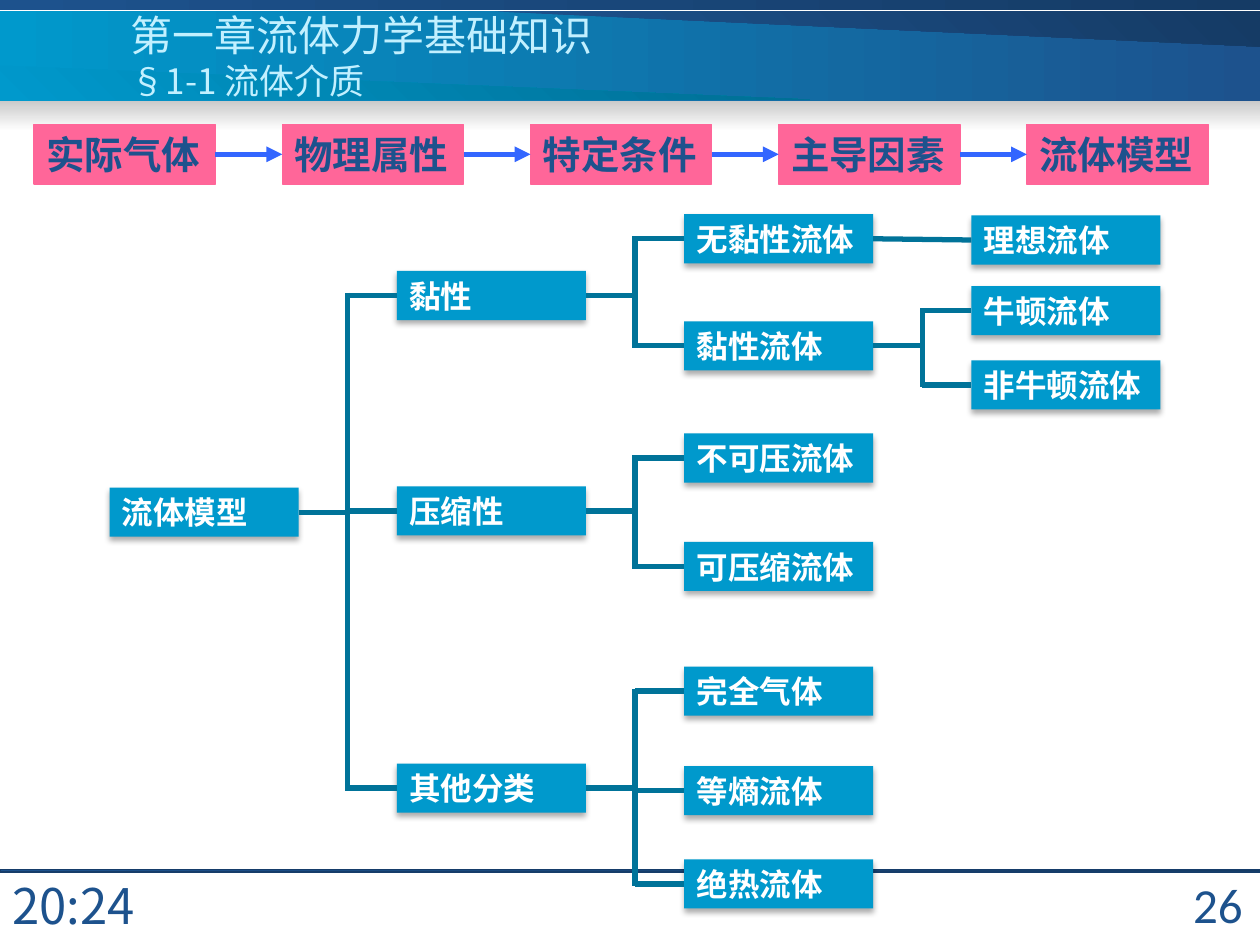
from dataclasses import dataclass
from typing import Optional

from lxml import etree
from pptx import Presentation
from pptx.dml.color import RGBColor
from pptx.enum.shapes import MSO_CONNECTOR, MSO_SHAPE
from pptx.enum.text import MSO_ANCHOR, PP_ALIGN
from pptx.oxml.ns import qn
from pptx.util import Inches, Pt

RECTANGLE = MSO_SHAPE.RECTANGLE
STRAIGHT = MSO_CONNECTOR.STRAIGHT
TOP, MIDDLE = MSO_ANCHOR.TOP, MSO_ANCHOR.MIDDLE
LEFT, RIGHT, JUSTIFY = PP_ALIGN.LEFT, PP_ALIGN.RIGHT, PP_ALIGN.JUSTIFY
LEFT_SIDE, RIGHT_SIDE = 1, 3


@dataclass(frozen=True)
class Theme:
    navy: str = "1D528D"
    dark_navy: str = "153B65"
    rule_line: str = "163D6A"
    cyan: str = "0099CC"
    dark_cyan: str = "006D92"
    tree_line: str = "007399"
    title: str = "C2F0FF"
    pink: str = "FF6699"
    arrow: str = "3366FF"
    grey: str = "CACACA"
    white: str = "FFFFFF"
    chinese_font: str = "Noto Sans CJK SC"
    title_font: str = "Noto Sans CJK JP"
    step_font: str = "Arial"
    number_font: str = "Calibri"
    title_size: int = 24
    subtitle_size: int = 20
    step_size: int = 22
    node_size: int = 18
    footer_size: int = 28
    line_width: int = 3


THEME = Theme()


@dataclass(frozen=True)
class TextStyle:
    font: str
    size: int
    color: str
    bold: bool = False


@dataclass(frozen=True)
class Band:
    left: float
    top: float
    width: float
    height: float
    start: str
    end: str
    angle: int = 0
    line: Optional[str] = None


@dataclass(frozen=True)
class Wedge:
    points: tuple
    start: str
    end: str


@dataclass(frozen=True)
class Node:
    text: str
    top: float
    children: tuple = ()


NODE_WIDTH, NODE_HEIGHT = 1.5, 0.39
TREE_LEFT, TREE_STEP = 0.87, 2.28
BRANCH_LENGTH = 0.39
TRUNK_OVERLAP = 0.02  # closes the corners of the thick lines
STEP_LEFT, STEP_TOP, STEP_PITCH = 0.27, 0.99, 1.97
STEP_WIDTH, STEP_HEIGHT = 1.44, 0.47

NODE_STYLE = TextStyle(THEME.chinese_font, THEME.node_size, THEME.white, True)
STEP_STYLE = TextStyle(THEME.step_font, THEME.step_size, THEME.navy, True)
TITLE_STYLE = TextStyle(THEME.title_font, THEME.title_size, THEME.title)
SUBTITLE_STYLE = TextStyle(THEME.title_font, THEME.subtitle_size, THEME.title)
TIME_STYLE = TextStyle(THEME.chinese_font, THEME.footer_size, THEME.navy)
NUMBER_STYLE = TextStyle(THEME.number_font, THEME.footer_size, THEME.navy)

HEADER = Band(0, 0.09, 10, 0.71, THEME.cyan, THEME.navy)
WEDGES = (
    Wedge(((3.93, 0.09), (10, 0.37), (10, 0.09)), THEME.navy, THEME.dark_navy),
    Wedge(((0, 0.52), (6.43, 0.79), (0, 0.79)), THEME.cyan, THEME.dark_cyan),
)
BANDS = (
    Band(0, 0.8, 10, 0.24, THEME.grey, THEME.white, 270),
    Band(0, 0, 10, 0.08, THEME.navy, THEME.dark_navy),
    Band(0, 6.9, 10, 0.02, THEME.navy, THEME.dark_navy, line=THEME.rule_line),
)
STEPS = ("实际气体", "物理属性", "特定条件", "主导因素", "流体模型")
TREE = Node("流体模型", 3.87, (
    Node("黏性", 2.15, (
        Node("无黏性流体", 1.7, (Node("理想流体", 1.71),)),
        Node("黏性流体", 2.55, (Node("牛顿流体", 2.27), Node("非牛顿流体", 2.86))),
    )),
    Node("压缩性", 3.86, (Node("不可压流体", 3.44), Node("可压缩流体", 4.3))),
    Node("其他分类", 6.06, (
        Node("完全气体", 5.29), Node("等熵流体", 6.08), Node("绝热流体", 6.82),
    )),
))


def rgb(color: str) -> RGBColor:
    return RGBColor.from_string(color)


def fill_gradient(shape, start: str, end: str, angle: int) -> None:
    shape.fill.gradient()
    shape.fill.gradient_angle = angle
    for stop, color in zip(shape.fill.gradient_stops, (start, end)):
        stop.color.rgb = rgb(color)


def set_line(shape, color: Optional[str], width: float = 0.75) -> None:
    if color is None:
        shape.line.fill.background()
    else:
        shape.line.color.rgb = rgb(color)
        shape.line.width = Pt(width)


def write_text(shape, text: str, styles: tuple, anchor, alignment, wrap=True) -> None:
    """Set one paragraph, with one style for each of its lines."""
    frame = shape.text_frame
    frame.text = text
    frame.word_wrap = wrap
    frame.vertical_anchor = anchor
    paragraph = frame.paragraphs[0]
    paragraph.alignment = alignment
    for run, style in zip(paragraph.runs, styles):
        run.font.name = style.font
        run.font.size = Pt(style.size)
        run.font.bold = style.bold
        run.font.color.rgb = rgb(style.color)
        east_asian = etree.SubElement(run.font._element, qn("a:ea"))
        east_asian.set("typeface", style.font)


def add_rectangle(slide, left: float, top: float, width: float, height: float):
    shape = slide.shapes.add_shape(
        RECTANGLE, Inches(left), Inches(top), Inches(width), Inches(height))
    shape.shadow.inherit = False
    return shape


def add_band(slide, band: Band) -> None:
    shape = add_rectangle(slide, band.left, band.top, band.width, band.height)
    fill_gradient(shape, band.start, band.end, band.angle)
    set_line(shape, band.line)


def add_wedge(slide, wedge: Wedge) -> None:
    points = [(Inches(x), Inches(y)) for x, y in wedge.points]
    builder = slide.shapes.build_freeform(*points[0])
    builder.add_line_segments(points[1:])
    shape = builder.convert_to_shape()
    shape.shadow.inherit = False
    fill_gradient(shape, wedge.start, wedge.end, 45)
    set_line(shape, None)


def add_text_box(slide, box: tuple, text: str, styles: tuple, anchor, alignment) -> None:
    shape = slide.shapes.add_textbox(*map(Inches, box))
    write_text(shape, text, styles, anchor, alignment)


def add_line(slide, start: tuple, end: tuple, color: str, source=None, target=None):
    """Draw a line, joined to the right of source and the left of target."""
    line = slide.shapes.add_connector(STRAIGHT, *map(Inches, start + end))
    if source is not None:
        line.begin_connect(source, RIGHT_SIDE)
    if target is not None:
        line.end_connect(target, LEFT_SIDE)
    set_line(line, color, THEME.line_width)
    etree.SubElement(line._element.spPr, qn("a:effectLst"))
    return line


def add_soft_shadow(shape) -> None:
    effects = shape._element.spPr.find(qn("a:effectLst"))
    shadow = etree.SubElement(
        effects, qn("a:outerShdw"), blurRad=str(Pt(3.5)), dist=str(Pt(2.2)),
        dir="5400000", rotWithShape="0")
    color = etree.SubElement(shadow, qn("a:srgbClr"), val="000000")
    etree.SubElement(color, qn("a:alpha"), val="32000")


def add_tree(slide, node: Node, depth: int = 0):
    """Draw a node with all its branches and return its box."""
    left = TREE_LEFT + depth * TREE_STEP
    box = add_rectangle(slide, left, node.top, NODE_WIDTH, NODE_HEIGHT)
    box.fill.solid()
    box.fill.fore_color.rgb = rgb(THEME.cyan)
    set_line(box, None)
    add_soft_shadow(box)
    write_text(box, node.text, (NODE_STYLE,), MIDDLE, JUSTIFY)

    children = [add_tree(slide, child, depth + 1) for child in node.children]
    middle = node.top + NODE_HEIGHT / 2
    right, child_left = left + NODE_WIDTH, left + TREE_STEP
    trunk = child_left - BRANCH_LENGTH
    heights = [child.top + NODE_HEIGHT / 2 for child in node.children]
    if len(children) == 1:
        add_line(slide, (right, middle), (child_left, heights[0]),
                 THEME.tree_line, box, children[0])
    elif children:
        add_line(slide, (right, middle), (trunk, middle), THEME.tree_line, source=box)
        add_line(slide, (trunk, min(heights) - TRUNK_OVERLAP),
                 (trunk, max(heights) + TRUNK_OVERLAP), THEME.tree_line)
        for child, height in zip(children, heights):
            add_line(slide, (trunk, height), (child_left, height),
                     THEME.tree_line, target=child)
    return box


def add_steps(slide) -> None:
    boxes = []
    for index, text in enumerate(STEPS):
        left = STEP_LEFT + index * STEP_PITCH
        box = add_rectangle(slide, left, STEP_TOP, STEP_WIDTH, STEP_HEIGHT)
        box.fill.solid()
        box.fill.fore_color.rgb = rgb(THEME.pink)
        set_line(box, THEME.pink)
        write_text(box, text, (STEP_STYLE,), MIDDLE, LEFT, wrap=False)
        boxes.append(box)
    for source, target in zip(boxes, boxes[1:]):
        arrow = add_line(slide, (0, 0), (0, 0), THEME.arrow, source, target)
        etree.SubElement(arrow.line._get_or_add_ln(), qn("a:tailEnd"), type="triangle")


def main() -> None:
    presentation = Presentation()
    presentation.slide_width, presentation.slide_height = Inches(10), Inches(7.5)
    slide = presentation.slides.add_slide(presentation.slide_layouts[6])
    add_band(slide, HEADER)
    for wedge in WEDGES:
        add_wedge(slide, wedge)
    for band in BANDS:
        add_band(slide, band)
    add_text_box(slide, (0, 6.9, 1.34, 0.57), "20:24", (TIME_STYLE,), TOP, LEFT)
    add_text_box(slide, (8.94, 6.8, 1.02, 0.75), "26", (NUMBER_STYLE,), MIDDLE, RIGHT)
    add_tree(slide, TREE)
    add_text_box(slide, (0.94, 0.05, 7.77, 0.78), "第一章流体力学基础知识\v§1-1 流体介质",
                 (TITLE_STYLE, SUBTITLE_STYLE), MIDDLE, LEFT)
    add_steps(slide)
    presentation.save("out.pptx")


if __name__ == "__main__":
    main()
